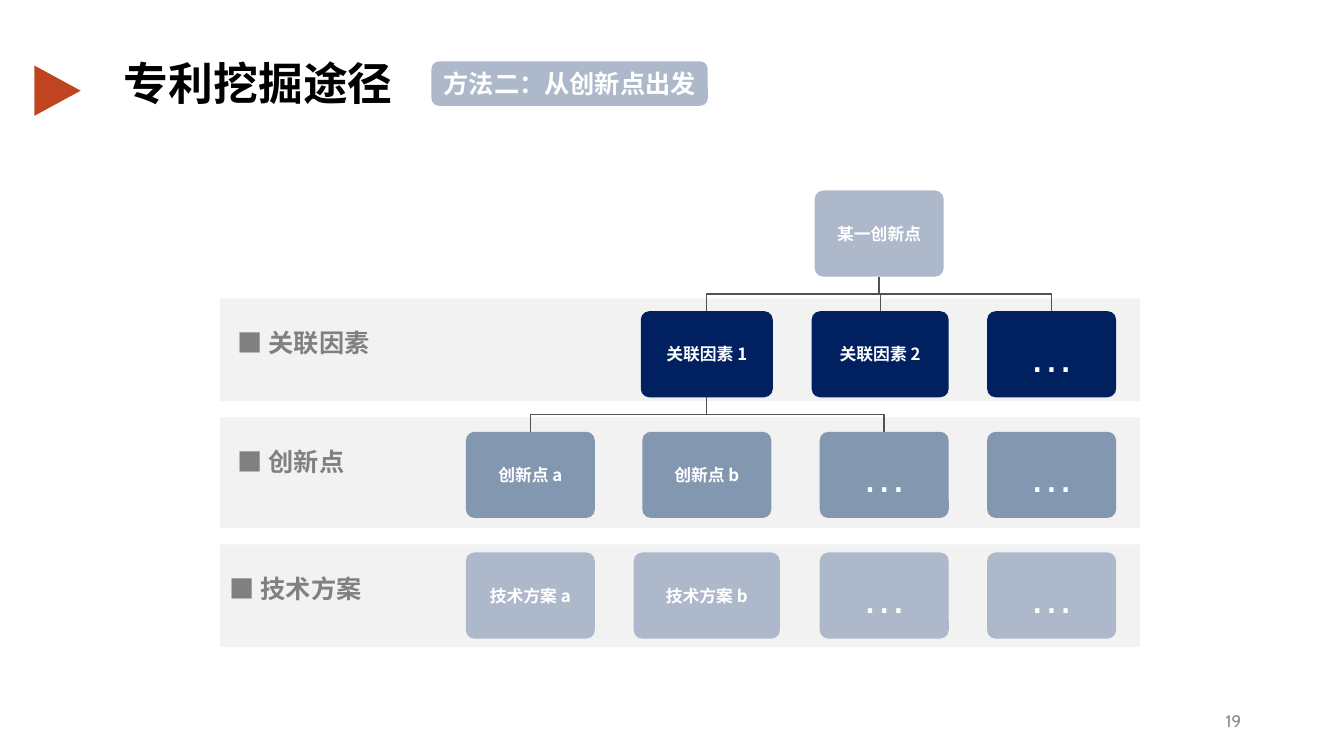
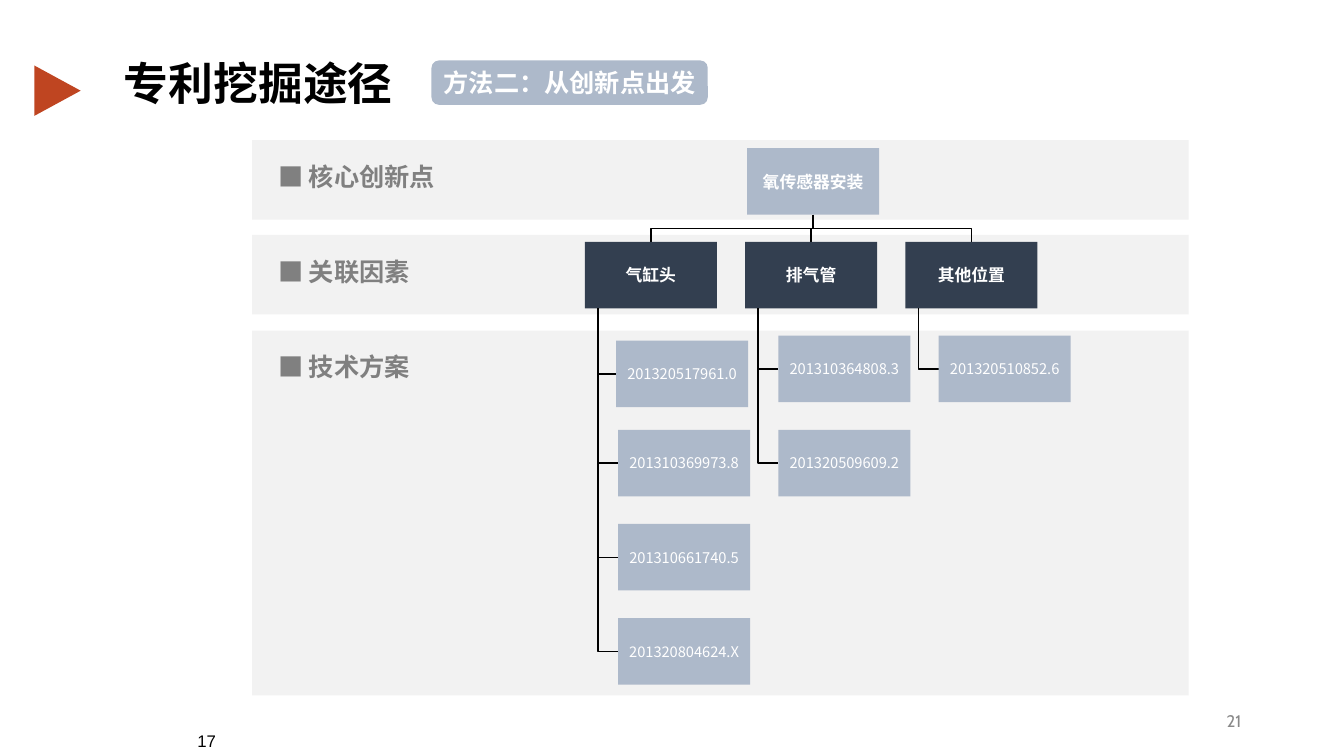
from dataclasses import dataclass

from lxml import etree
from pptx import Presentation
from pptx.dml.color import RGBColor
from pptx.enum.shapes import MSO_SHAPE
from pptx.enum.text import MSO_ANCHOR, PP_ALIGN
from pptx.oxml.ns import qn
from pptx.util import Pt

RECTANGLE, ROUNDED = MSO_SHAPE.RECTANGLE, MSO_SHAPE.ROUNDED_RECTANGLE
TRIANGLE = MSO_SHAPE.ISOSCELES_TRIANGLE
LEFT, CENTER, RIGHT = PP_ALIGN.LEFT, PP_ALIGN.CENTER, PP_ALIGN.RIGHT
MIDDLE, BOTTOM = MSO_ANCHOR.MIDDLE, MSO_ANCHOR.BOTTOM

EMU_PER_PX = 9144  # 100 px to the inch
SLIDE_SIZE = (1333, 750)


@dataclass(frozen=True)
class Style:
    size: float
    color: str
    bold: bool = False
    font: str = "Noto Sans CJK SC"


class Theme:
    band, pale, steel = "F2F2F2", "ADB9CA", "8497B0"
    navy, slate, accent = "002060", "333F50", "BF4521"
    gray_line, black_line = "525252", "000000"
    title = Style(32, "000000", True)
    method = Style(18, "FFFFFF", True)
    label = Style(18, "808080", True)
    node = Style(12, "FFFFFF", True)
    number = Style(10.5, "FFFFFF")
    dots = Style(32, "FFFFFF", font="Arial")
    page = Style(12, "898989", font="Cabin")
    footer = Style(12, "000000", font="Arial")


# Content
TITLE = "专利挖掘途径"
METHOD = "方法二：从创新点出发"
DOTS = "…"

# Bands: label, label left, top, height
METHOD_BANDS = [
    ("■ 关联因素", 226, 296, 102),
    ("■ 创新点", 226, 414, 110),
    ("■ 技术方案", 218, 540, 102),
]
EXAMPLE_BANDS = [
    ("■ 核心创新点", 266, 139, 79),
    ("■ 关联因素", 266, 233, 79),
    ("■ 技术方案", 266, 328, 362),
]

# Tree levels: fill, then nodes as text, centre, width
METHOD_LEVELS = [
    (Theme.pale, [("某一创新点", 872, 128)]),
    (Theme.navy, [("关联因素 1", 701, 131), ("关联因素 2", 873, 136), (DOTS, 1043, 128)]),
    (Theme.steel, [("创新点 a", 526, 128), ("创新点 b", 701, 128),
                   (DOTS, 877, 128), (DOTS, 1043, 128)]),
    (Theme.pale, [("技术方案 a", 526, 128), ("技术方案 b", 701, 145),
                  (DOTS, 877, 128), (DOTS, 1043, 128)]),
]

EXAMPLE_ROOT = "氧传感器安装"
EXAMPLE_FACTORS = [
    ("气缸头", ["201320517961.0", "201310369973.8", "201310661740.5", "201320804624.X"]),
    ("排气管", ["201310364808.3", "201320509609.2"]),
    ("其他位置", ["201320510852.6"]),
]
NUDGES = {"201320517961.0": (-2, 5)}


def px(*lengths):
    return [round(length * EMU_PER_PX) for length in lengths]


def write(shape, text, style, align=LEFT, anchor=MIDDLE, margin=None, wrap=True, spacing=None):
    frame = shape.text_frame
    frame.word_wrap = wrap
    frame.vertical_anchor = anchor
    if margin is not None:
        (inset,) = px(margin)
        frame.margin_left = frame.margin_right = inset
        frame.margin_top = frame.margin_bottom = inset
    paragraph = frame.paragraphs[0]
    paragraph.text = text
    paragraph.alignment = align
    if spacing:
        paragraph.line_spacing = spacing
    font = paragraph.font
    font.size, font.bold = Pt(style.size), style.bold
    font.color.rgb = RGBColor.from_string(style.color)
    font.name = style.font
    # East Asian characters take their typeface from a:ea
    properties = paragraph._p.pPr.find(qn("a:defRPr"))
    etree.SubElement(properties, qn("a:ea")).set("typeface", style.font)


def add_text(slide, box, text, style, **options):
    write(slide.shapes.add_textbox(*px(*box)), text, style, **options)


def add_block(slide, kind, box, fill):
    shape = slide.shapes.add_shape(kind, *px(*box))
    shape.shadow.inherit = False
    shape.fill.solid()
    shape.fill.fore_color.rgb = RGBColor.from_string(fill)
    shape.line.fill.background()
    return shape


def add_node(slide, kind, box, fill, text, style):
    shape = add_block(slide, kind, box, fill)
    if kind == ROUNDED:
        shape.adjustments[0] = 0.1
    write(shape, text, style, align=CENTER, margin=5)


def add_bent_line(slide, color, start, *corners):
    builder = slide.shapes.build_freeform(*px(*start))
    builder.add_line_segments([px(*corner) for corner in corners], close=False)
    line = builder.convert_to_shape()
    line.shadow.inherit = False
    line.fill.background()
    line.line.color.rgb = RGBColor.from_string(color)
    line.line.width = Pt(1)


def add_fork(slide, color, parent, top, children, bottom):
    """One bent line from the parent to each child."""
    bar = (top + bottom) / 2
    for child in children:
        add_bent_line(slide, color, (parent, top), (parent, bar), (child, bar), (child, bottom))


def add_frame(presentation, page, method_top, bands, band_left, band_width, label_offset):
    """New slide with title, method tag, page number and labelled bands."""
    slide = presentation.slides.add_slide(presentation.slide_layouts[6])
    marker = add_block(slide, TRIANGLE, (32, 67, 50, 46), Theme.accent)
    marker.rotation = 90
    add_text(slide, (113, 60, 287, 53), TITLE, Theme.title, wrap=False, spacing=0.8)
    tag = add_block(slide, ROUNDED, (428, method_top, 274, 44), Theme.pale)
    write(tag, METHOD, Theme.method, align=CENTER, wrap=False)
    add_text(slide, (941, 695, 300, 40), page, Theme.page, align=RIGHT)
    for label, label_left, top, height in bands:
        add_block(slide, RECTANGLE, (band_left, top, band_width, height), Theme.band)
        add_text(slide, (label_left, top + label_offset, 216, 40), label, Theme.label)
    return slide


def build_method(presentation):
    slide = add_frame(presentation, "19", 61, METHOD_BANDS, 218, 913, 24)
    first_top, pitch, height = 189, 119.7, 85.5
    tops = [first_top + pitch * level for level in range(len(METHOD_LEVELS))]
    root, factors, points = [[center for _, center, _ in nodes]
                             for _, nodes in METHOD_LEVELS[:3]]
    # The second fork reaches only the outer innovation points
    for level, parent, children in [(0, root[0], factors),
                                    (1, factors[0], [points[0], points[2]])]:
        add_fork(slide, Theme.gray_line, parent, tops[level] + height,
                 children, tops[level + 1])
    for top, (fill, nodes) in zip(tops, METHOD_LEVELS):
        for text, center, width in nodes:
            style = Theme.dots if text == DOTS else Theme.node
            add_node(slide, ROUNDED, (center - width / 2, top, width, height),
                     fill, text, style)


def build_example(presentation):
    slide = add_frame(presentation, "21", 60, EXAMPLE_BANDS, 250, 929, 16)
    add_text(slide, (186, 700, 317, 50), "17", Theme.footer, anchor=BOTTOM)
    width, height = 131, 66
    root_left, root_top, factor_top = 741, 147, 240
    row_top, row_pitch = 333, 93.4
    lefts = [580 + 159 * column for column in range(len(EXAMPLE_FACTORS))]

    # Root and its factors
    add_fork(slide, Theme.black_line, root_left + width / 2, root_top + height,
             [left + width / 2 for left in lefts], factor_top)
    add_node(slide, RECTANGLE, (root_left, root_top, width, height),
             Theme.pale, EXAMPLE_ROOT, Theme.node)

    # Each factor with its patents hanging below
    for left, (factor, patents) in zip(lefts, EXAMPLE_FACTORS):
        add_node(slide, RECTANGLE, (left, factor_top, width, height),
                 Theme.slate, factor, Theme.node)
        spine = left + 13
        for row, patent in enumerate(patents):
            shift, drop = NUDGES.get(patent, (0, 0))
            box_left, top = left + 33 + shift, row_top + row_pitch * row + drop
            middle = top + height / 2
            add_bent_line(slide, Theme.black_line, (spine, factor_top + height),
                          (spine, middle), (box_left, middle))
            add_node(slide, RECTANGLE, (box_left, top, width, height),
                     Theme.pale, patent, Theme.number)


def main():
    presentation = Presentation()
    presentation.slide_width, presentation.slide_height = px(*SLIDE_SIZE)
    build_method(presentation)
    build_example(presentation)
    presentation.save("out.pptx")


if __name__ == "__main__":
    main()
